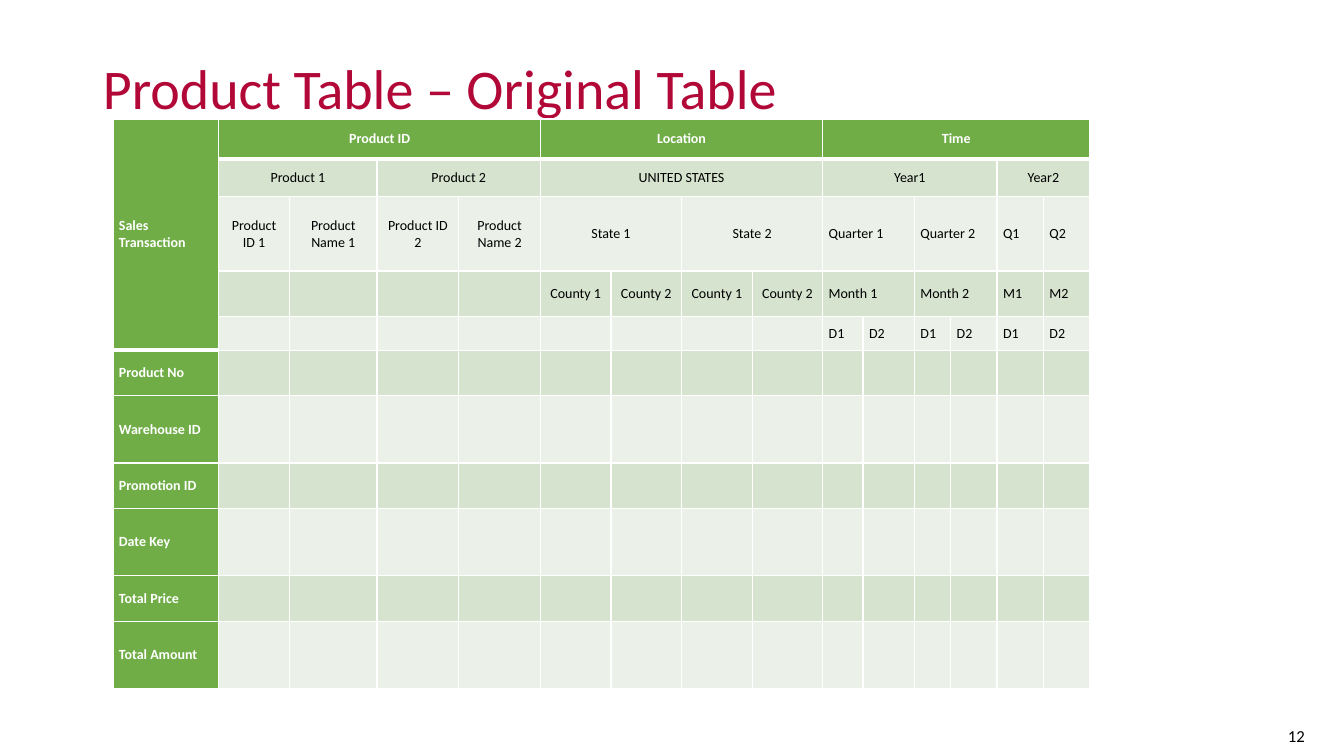
from dataclasses import dataclass

from lxml import etree
from pptx import Presentation
from pptx import util as u
from pptx.dml.color import RGBColor
from pptx.enum import text
from pptx.oxml.ns import qn


@dataclass(frozen=True)
class Theme:
    """Colours, font and type sizes."""
    font: str = "Calibri"
    title: str = "B20838"
    ink: str = "000000"
    white: str = "FFFFFF"
    header: str = "70AD47"
    band: str = "D5E3CF"
    light: str = "EBF1E9"
    title_size: int = 40
    number_size: int = 12
    cell_size: int = 10


LEFT, CENTER, RIGHT, JUSTIFY = (
    text.PP_ALIGN.LEFT, text.PP_ALIGN.CENTER, text.PP_ALIGN.RIGHT, text.PP_ALIGN.JUSTIFY)
COLUMNS = [1.05, 0.7, 0.87, 0.81, 0.81] + [0.7] * 4 + [0.4, 0.51, 0.36] + [0.46] * 3
ROWS = [0.4, 0.37, 0.74, 0.45, 0.33] + [0.45, 0.67] * 3
TIME_COLUMN = 9
HEADINGS = [
    (1, [("Product ID", 4), ("Location", 4), ("Time", 6)]),
    (1, [("Product 1", 2), ("Product 2", 2), ("UNITED STATES", 4), ("Year1", 4), ("Year2", 2)]),
    (1, [("Product ID 1", 1), ("Product Name 1", 1), ("Product ID 2", 1), ("Product Name 2", 1),
         ("State 1", 2), ("State 2", 2), ("Quarter 1", 2), ("Quarter 2", 2), ("Q1", 1), ("Q2", 1)]),
    (5, [("County 1", 1), ("County 2", 1)] * 2
     + [("Month 1", 2), ("Month 2", 2), ("M1", 1), ("M2", 1)]),
    (9, [("D1", 1), ("D2", 1)] * 3),
]
MEASURES = ["Product No", "Warehouse ID", "Promotion ID", "Date Key", "Total Price", "Total Amount"]


def write(tf, content, *, font, size, color, bold=False, align=LEFT, spacing=None):
    """Write one formatted paragraph into a text frame."""
    tf.word_wrap = True
    p = tf.paragraphs[0]
    p.alignment = align
    if spacing:
        p.line_spacing = spacing
    r = p.add_run()
    r.text = content
    r.font.name, r.font.size, r.font.bold = font, u.Pt(size), bold
    r.font.color.rgb = RGBColor.from_string(color)


def heavy_below(row, col):
    """Tell whether a header edge lies under the cell."""
    return row == 0 or (row == len(HEADINGS) - 1 and col == 0)


class Deck:
    """Holds the theme and the current slide."""

    def __init__(self, prs, theme):
        """Add a title-only slide."""
        self.theme = theme
        self.s = prs.slides.add_slide(prs.slide_layouts[5])

    def title(self, content, left, top, width, height):
        """Place and format the title placeholder."""
        sp = self.s.shapes.title
        sp.left, sp.top, sp.width, sp.height = map(u.Inches, (left, top, width, height))
        sp.text_frame.vertical_anchor = text.MSO_ANCHOR.MIDDLE
        write(sp.text_frame, content, font=self.theme.font, size=self.theme.title_size,
              color=self.theme.title, spacing=0.9)

    def number(self, content, left, top, width, height):
        """Add the page number."""
        sp = self.s.shapes.add_textbox(*map(u.Inches, (left, top, width, height)))
        sp.text_frame.vertical_anchor = text.MSO_ANCHOR.MIDDLE
        write(sp.text_frame, content, font=self.theme.font, size=self.theme.number_size,
              color=self.theme.ink, align=RIGHT)

    def border(self, cell, side, points):
        """Draw one white edge of a cell."""
        ln = etree.SubElement(cell._tc.get_or_add_tcPr(), qn(f"a:ln{side}"), w=str(u.Pt(points)))
        fill = etree.SubElement(ln, qn("a:solidFill"))
        etree.SubElement(fill, qn("a:srgbClr"), val=self.theme.white)

    def cell(self, table, row, col):
        """Set the edges, margins and fill of a cell."""
        cell = table.cell(row, col)
        cell.margin_left = cell.margin_right = u.Inches(0.06)
        cell.margin_top = cell.margin_bottom = 0
        cell.vertical_anchor = text.MSO_ANCHOR.MIDDLE
        top = 3 if row and heavy_below(row - 1, col) else 1
        bottom = 3 if heavy_below(row, col) else 1
        for side, points in zip("LRTB", (1, 1, top, bottom)):
            self.border(cell, side, points)
        band = self.theme.band if row % 2 else self.theme.light
        color = self.theme.header if row == 0 or col == 0 else band
        cell.fill.solid()
        cell.fill.fore_color.rgb = RGBColor.from_string(color)

    def label(self, table, row, col, content, rows=1, cols=1, align=LEFT):
        """Write a label into a cell, merged where it spans."""
        cell = table.cell(row, col)
        if rows > 1 or cols > 1:
            cell.merge(table.cell(row + rows - 1, col + cols - 1))
        header = row == 0 or col == 0
        write(cell.text_frame, content, font=self.theme.font, size=self.theme.cell_size,
              color=self.theme.white if header else self.theme.ink, bold=header, align=align)

    def table(self, left, top):
        """Add the sales table."""
        frame = self.s.shapes.add_table(
            len(ROWS), len(COLUMNS),
            *map(u.Inches, (left, top, sum(COLUMNS), sum(ROWS))))
        table = frame.table
        for column, width in zip(table.columns, COLUMNS):
            column.width = u.Inches(width)
        for row, height in zip(table.rows, ROWS):
            row.height = u.Inches(height)
        for row in range(len(ROWS)):
            for col in range(len(COLUMNS)):
                self.cell(table, row, col)
        self.label(table, 0, 0, "Sales Transaction", rows=len(HEADINGS))
        for row, (col, groups) in enumerate(HEADINGS):
            for content, span in groups:
                align = JUSTIFY if row > 1 and col >= TIME_COLUMN else CENTER
                self.label(table, row, col, content, cols=span, align=align)
                col += span
        for row, content in enumerate(MEASURES, len(HEADINGS)):
            self.label(table, row, 0, content)


def main():
    """Build and save the slide."""
    prs = Presentation()
    prs.slide_width, prs.slide_height = u.Inches(13.33), u.Inches(7.5)
    deck = Deck(prs, Theme())
    deck.number("12", 12.27, 7.1, 0.77, 0.4)
    deck.title("Product Table – Original Table", 0.92, 0.4, 11.5, 1.01)
    deck.table(1.12, 1.18)
    prs.save("out.pptx")


if __name__ == "__main__":
    main()
